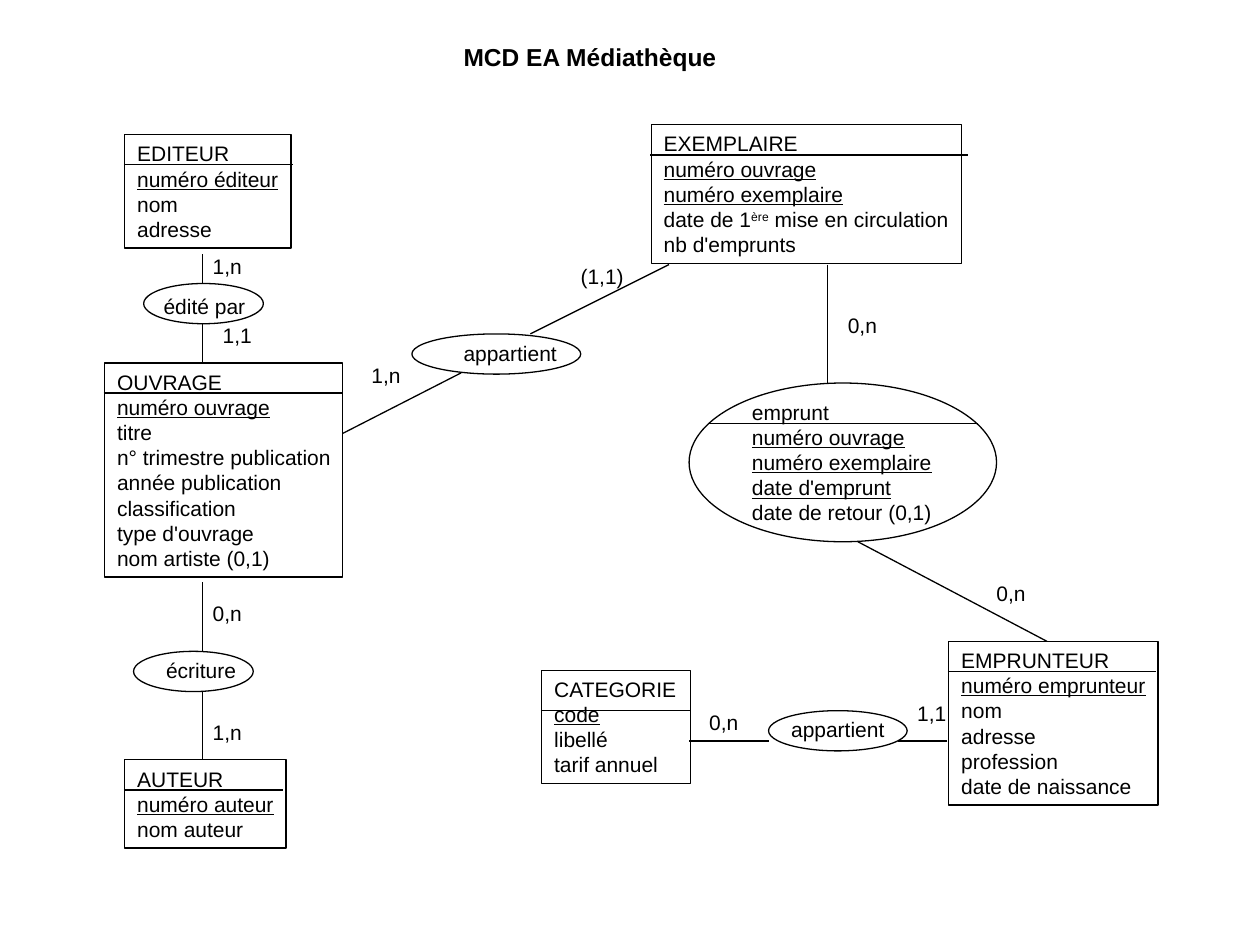
"""Draw the entity-association diagram of a media library."""
from dataclasses import dataclass

import pptx
import pptx.dml.color
import pptx.enum.shapes
import pptx.enum.text
import pptx.oxml
import pptx.util

Pt = pptx.util.Pt
Shapes = pptx.enum.shapes.MSO_SHAPE
BLACK = "000000"
LINE_HEIGHT = 14.4
PADDING = 3.6
SUPERSCRIPT = "ère"


@dataclass
class Entity:
    left: float
    top: float
    width: float
    rule_width: float
    lines: list[str]
    keys: int = 1
    rule_offset: float = 17.2


@dataclass
class Association:
    left: float
    top: float
    width: float
    height: float
    text_left: float
    text_top: float
    text_width: float
    lines: list[str]
    keys: int = 0


@dataclass
class Label:
    left: float
    top: float
    text: str
    width: float = 31


@dataclass
class Link:
    x1: float
    y1: float
    x2: float
    y2: float


ENTITIES = [
    Entity(71.3, 77, 95, 96.5, ["EDITEUR", "numéro éditeur", "nom", "adresse"]),
    Entity(59.8, 207.4, 136.1, 136.1, [
        "OUVRAGE", "numéro ouvrage", "titre", "n° trimestre publication",
        "année publication", "classification", "type d'ouvrage", "nom artiste (0,1)"]),
    Entity(71.3, 434.2, 92.2, 90.7, ["AUTEUR", "numéro auteur", "nom auteur"]),
    Entity(372.2, 71.3, 177.1, 181.4, [
        "EXEMPLAIRE", "numéro ouvrage", "numéro exemplaire",
        "date de 1ère mise en circulation", "nb d'emprunts"], keys=2),
    Entity(542.2, 366.5, 119.5, 118.8, [
        "EMPRUNTEUR", "numéro emprunteur", "nom", "adresse", "profession",
        "date de naissance"]),
    Entity(309.6, 383, 85, 85, ["CATEGORIE", "code", "libellé", "tarif annuel"],
           rule_offset=23),
]

ASSOCIATIONS = [
    Association(82.1, 162, 68.4, 23, 86.4, 164.2, 61.2, ["édité par"]),
    Association(439.2, 406.1, 79.2, 23, 445, 406.1, 67.7, ["appartient"]),
    Association(76.3, 372.2, 68.4, 23, 87.8, 372.2, 54, ["écriture"]),
    Association(235.4, 190.8, 96.5, 23, 257.8, 190.8, 67.7, ["appartient"]),
    Association(393.8, 218.9, 175.7, 90.7, 422.6, 224.6, 116.6, [
        "emprunt", "numéro ouvrage", "numéro exemplaire", "date d'emprunt",
        "date de retour (0,1)"], keys=3),
]

LINKS = [
    Link(115.9, 145.4, 115.9, 162),
    Link(115.9, 185, 115.9, 207.4),
    Link(195.8, 247.7, 263.5, 213.1),
    Link(303.1, 190.8, 382.3, 151.2),
    Link(473, 151.2, 473, 218.9),
    Link(490.3, 309.6, 598.3, 366.5),
    Link(541.4, 423.4, 513.4, 423.4),
    Link(439.2, 423.4, 393.8, 423.4),
    Link(115.9, 332.6, 115.9, 372.2),
    Link(115.9, 394.8, 115.9, 434.2),
    Link(405.4, 241.9, 558.7, 241.9),
]

LABELS = [
    Label(114.5, 141.1, "1,n"),
    Label(120.2, 180.7, "1,1"),
    Label(324.7, 146.9, "(1,1)", 38.9),
    Label(205.2, 203.8, "1,n"),
    Label(477.4, 175, "0,n"),
    Label(562.3, 328.3, "0,n"),
    Label(517, 396.7, "1,1"),
    Label(398.2, 401.8, "0,n"),
    Label(114.5, 339.8, "0,n"),
    Label(114.5, 407.5, "1,n"),
]


def colour(value: str) -> pptx.dml.color.RGBColor:
    """Turn a hex string into a colour."""
    return pptx.dml.color.RGBColor.from_string(value)


def outline(shape) -> None:
    """Give a shape or connector the thin black line."""
    shape.line.color.rgb = colour(BLACK)
    shape.line.width = Pt(0.75)


def split_superscript(para) -> None:
    """Raise the ordinal ending of a paragraph that holds one."""
    before, mark, after = para.text.partition(SUPERSCRIPT)
    if mark:
        para.text = before
        raised = para.add_run()
        raised.text = mark
        raised._r.get_or_add_rPr().set("baseline", "30000")
        para.add_run().text = after


def write(box, lines: list[str], keys: int = 0, size: float = 12,
          bold: bool = False) -> None:
    """Write lines into a box with a free right margin, underlining the key lines."""
    frame = box.text_frame
    frame.text = "\n".join(lines)
    frame.word_wrap = True
    frame.auto_size = pptx.enum.text.MSO_AUTO_SIZE.NONE
    frame.margin_right = Pt(0)
    frame.vertical_anchor = pptx.enum.text.MSO_ANCHOR.TOP
    for index, para in enumerate(frame.paragraphs):
        para.alignment = pptx.enum.text.PP_ALIGN.LEFT
        split_superscript(para)
        for span in para.runs:
            span.font.name = "Arial"
            span.font.size = Pt(size)
            span.font.bold = bold
            span.font.underline = 1 <= index <= keys
            span.font.color.rgb = colour(BLACK)


def text_height(lines: list[str]) -> float:
    """Return the height of a box that holds the lines."""
    return len(lines) * LINE_HEIGHT + 2 * PADDING


def add_outline_shape(page, kind, left: float, top: float, width: float, height: float):
    """Add an unfilled shape with a black outline."""
    shape = page.shapes.add_shape(kind, Pt(left), Pt(top), Pt(width), Pt(height))
    shape.shadow.inherit = False
    shape.fill.background()
    outline(shape)
    return shape


def add_text(page, left: float, top: float, width: float, lines: list[str],
             keys: int = 0) -> None:
    """Add a text box as tall as its lines."""
    box = page.shapes.add_textbox(Pt(left), Pt(top), Pt(width), Pt(text_height(lines)))
    write(box, lines, keys)


def draw_link(page, link: Link) -> None:
    """Draw a straight line."""
    line = page.shapes.add_connector(
        pptx.enum.shapes.MSO_CONNECTOR.STRAIGHT,
        Pt(link.x1), Pt(link.y1), Pt(link.x2), Pt(link.y2))
    outline(line)
    properties = line._element.spPr
    properties.append(properties.makeelement(pptx.oxml.ns.qn("a:effectLst"), {}))


def draw_entity(page, entity: Entity) -> None:
    """Draw an entity box with the rule under its name."""
    box = add_outline_shape(page, Shapes.RECTANGLE, entity.left, entity.top,
                            entity.width, text_height(entity.lines))
    write(box, entity.lines, entity.keys)
    left, level = entity.left - 0.5, entity.top + entity.rule_offset
    draw_link(page, Link(left, level, left + entity.rule_width, level))


def draw_association(page, item: Association) -> None:
    """Draw an association ellipse with its text."""
    add_text(page, item.text_left, item.text_top, item.text_width, item.lines, item.keys)
    add_outline_shape(page, Shapes.OVAL, item.left, item.top, item.width, item.height)


def main() -> None:
    """Build and save the deck."""
    deck = pptx.Presentation()
    deck.slide_width, deck.slide_height = Pt(720), Pt(540)
    page = deck.slides.add_slide(deck.slide_layouts[6])
    title = page.shapes.add_textbox(Pt(257.8), Pt(20.2), Pt(159.1), Pt(24.5))
    write(title, ["MCD EA Médiathèque"], size=14, bold=True)
    for entity in ENTITIES:
        draw_entity(page, entity)
    for association in ASSOCIATIONS:
        draw_association(page, association)
    for link in LINKS:
        draw_link(page, link)
    for label in LABELS:
        add_text(page, label.left, label.top, label.width, [label.text])
    deck.save("out.pptx")


if __name__ == "__main__":
    main()
